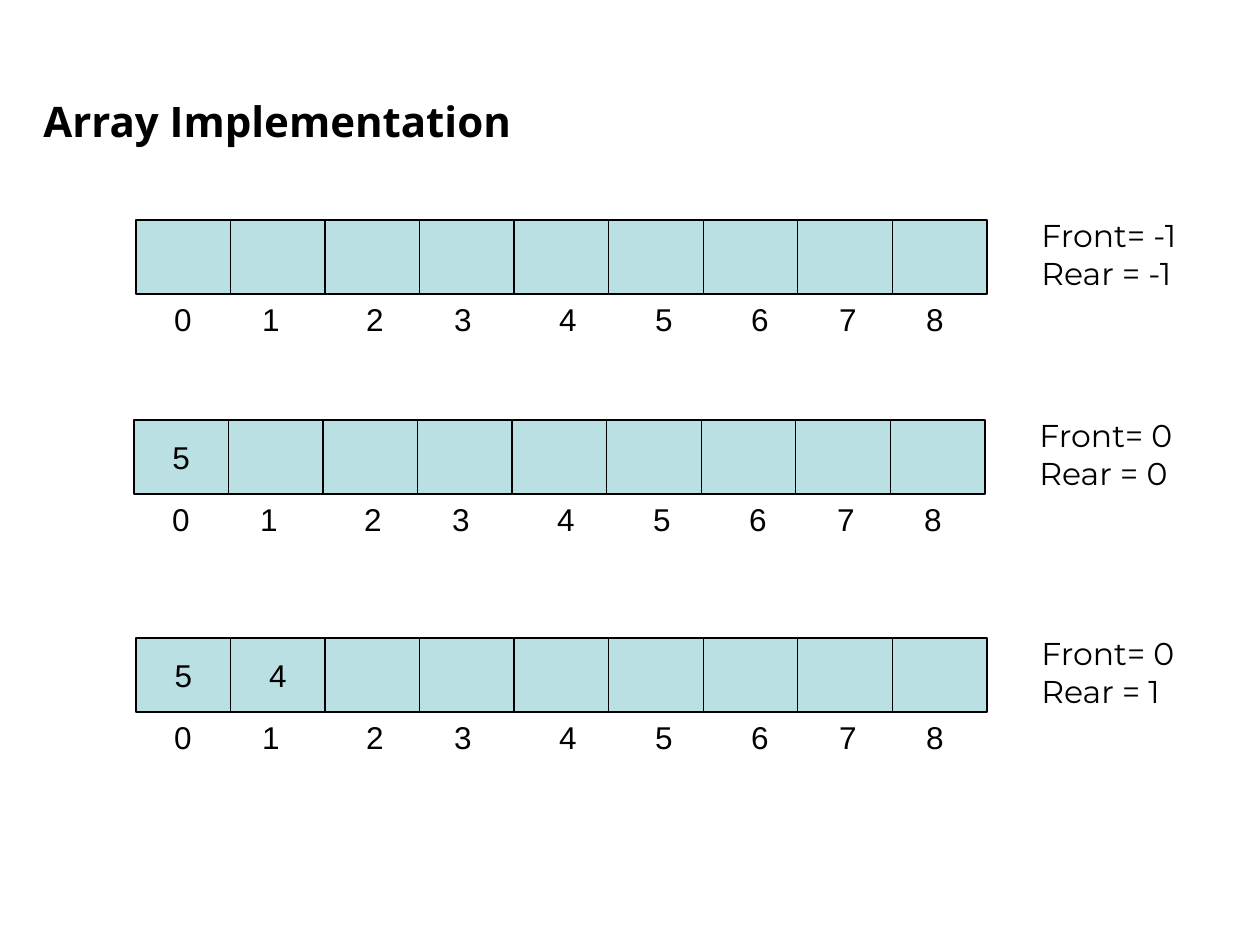
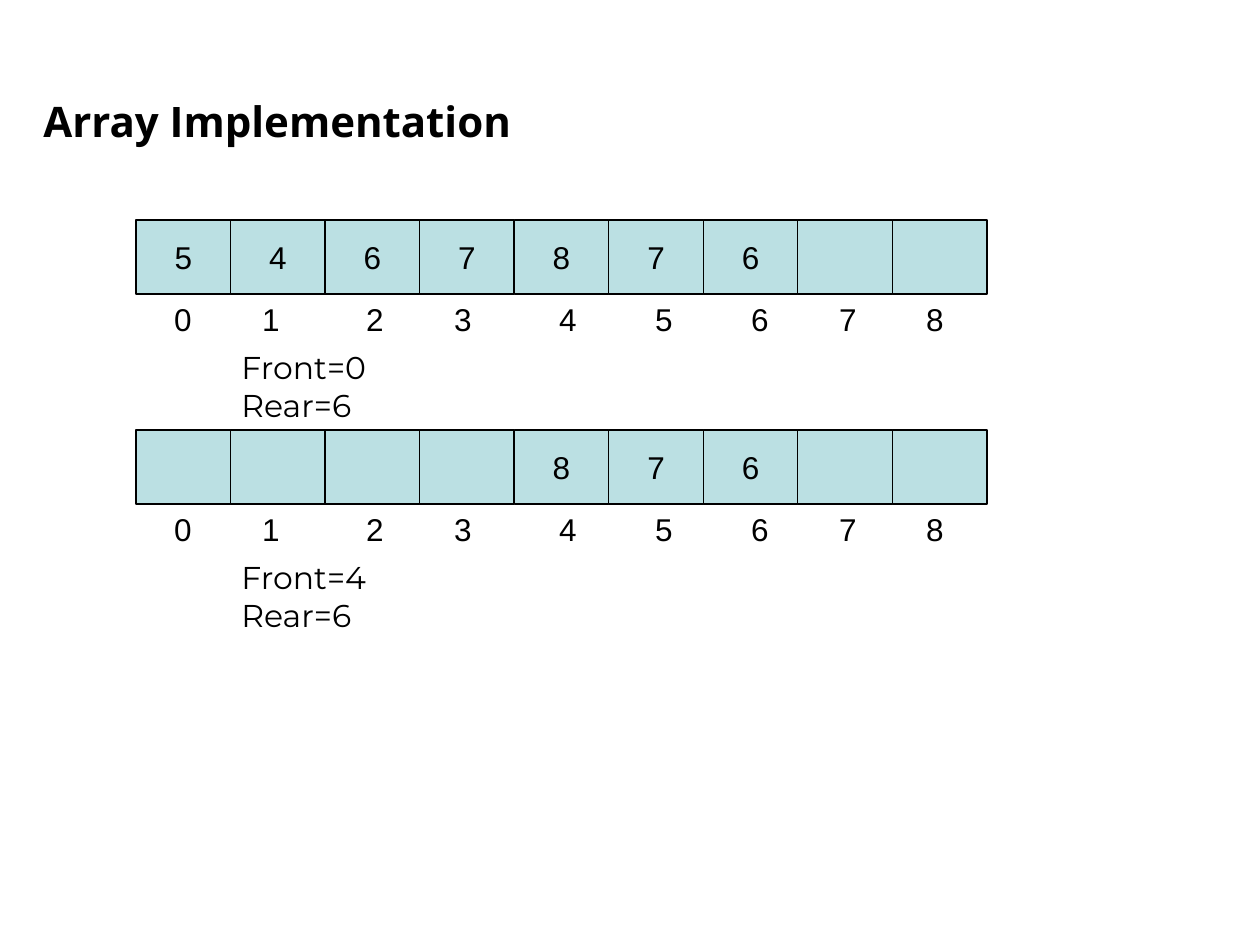
"""Builds two slides that show a queue stored in an array."""
from pptx import Presentation
from pptx.dml.color import RGBColor
from pptx.enum.shapes import MSO_SHAPE
from pptx.enum.text import MSO_ANCHOR, PP_ALIGN
from pptx.util import Emu, Pt
from lxml import etree

TITLE = "Array Implementation"
SIDE, BELOW = (893, -10), (93, 122)
SLIDES = [
    {"state_offset": SIDE, "arrays": [
        {"at": (136, 220), "values": {}, "state": ["Front= -1", "Rear = -1"]},
        {"at": (134, 420), "values": {0: "5"}, "state": ["Front= 0", "Rear = 0"]},
        {"at": (136, 638), "values": {0: "5", 1: "4"}, "state": ["Front= 0", "Rear = 1"]},
    ]},
    {"state_offset": BELOW, "arrays": [
        {"at": (136, 220), "values": dict(enumerate("5467876")),
         "state": ["Front=0", "Rear=6"]},
        {"at": (136, 430), "values": dict(enumerate("876", 4)),
         "state": ["Front=4", "Rear=6"]},
    ]},
]

COLORS = {"cell": "BBE0E3", "ink": "000000", "page": "FFFFFF"}
FONTS = {"title": "Open Sans", "digit": "Arial", "state": "Montserrat"}
CELLS, ROW_W, CELL_H = 9, 851, 74
INDEX_H, INDEX_CENTRES = 50, [47, 135, 239, 327, 432, 528, 624, 712, 799]
STATE_W, STATE_H = 180, 89
INSET = 12.6
SCALE = 914400 / 126


def px(n):
    return Emu(round(n * SCALE))


def color(name):
    return RGBColor.from_string(COLORS[name])


def add_run(p, text, font, size=18, bold=False):
    r = p.add_run()
    r.text = text
    r.font.name, r.font.size, r.font.bold = FONTS[font], Pt(size), bold
    r.font.color.rgb = color("ink")


def add_text(shapes, x, y, w, h):
    tf = shapes.add_textbox(px(x), px(y), px(w), px(h)).text_frame
    tf.word_wrap = True
    return tf


def add_title(s):
    tf = add_text(s.shapes, 31, 73, 1134, 95)
    tf.vertical_anchor = MSO_ANCHOR.MIDDLE
    add_run(tf.paragraphs[0], TITLE, "title", 24, True)


def add_cell(shapes, x, y, value):
    sp = shapes.add_shape(MSO_SHAPE.RECTANGLE, px(x), px(y), px(ROW_W / CELLS), px(CELL_H))
    sp.shadow.inherit = False
    sp.fill.solid()
    sp.fill.fore_color.rgb = color("cell")
    sp.line.color.rgb = color("ink")
    sp.line.width = Pt(0.75)
    if value:
        tf = sp.text_frame
        tf.word_wrap = False
        tf.vertical_anchor = MSO_ANCHOR.MIDDLE
        p = tf.paragraphs[0]
        p.alignment = PP_ALIGN.CENTER
        add_run(p, value, "digit")


def add_indices(shapes, x, y):
    p = add_text(shapes, x, y, ROW_W, INDEX_H).paragraphs[0]
    add_run(p, "".join(f"\t{i}" for i in range(CELLS)), "digit")
    pPr = p._p.get_or_add_pPr()
    ns = pPr.nsmap["a"]
    tabs = etree.SubElement(pPr, f"{{{ns}}}tabLst")
    for centre in INDEX_CENTRES:
        etree.SubElement(tabs, f"{{{ns}}}tab", pos=str(px(centre - INSET)), algn="ctr")


def add_state(shapes, x, y, lines):
    tf = add_text(shapes, x, y, STATE_W, STATE_H)
    for i, line in enumerate(lines):
        p = tf.add_paragraph() if i else tf.paragraphs[0]
        add_run(p, line, "state")


def add_array(s, array, state_offset):
    x, y = array["at"]
    dx, dy = state_offset
    shapes = s.shapes.add_group_shape().shapes
    for i in range(CELLS):
        add_cell(shapes, x + i * ROW_W / CELLS, y, array["values"].get(i))
    add_indices(shapes, x, y + CELL_H)
    add_state(shapes, x + dx, y + dy, array["state"])


prs = Presentation()
prs.slide_width, prs.slide_height = px(1260), px(945)
for slide in SLIDES:
    s = prs.slides.add_slide(prs.slide_layouts[6])
    s.background.fill.solid()
    s.background.fill.fore_color.rgb = color("page")
    add_title(s)
    for array in slide["arrays"]:
        add_array(s, array, slide["state_offset"])
prs.save("out.pptx")
